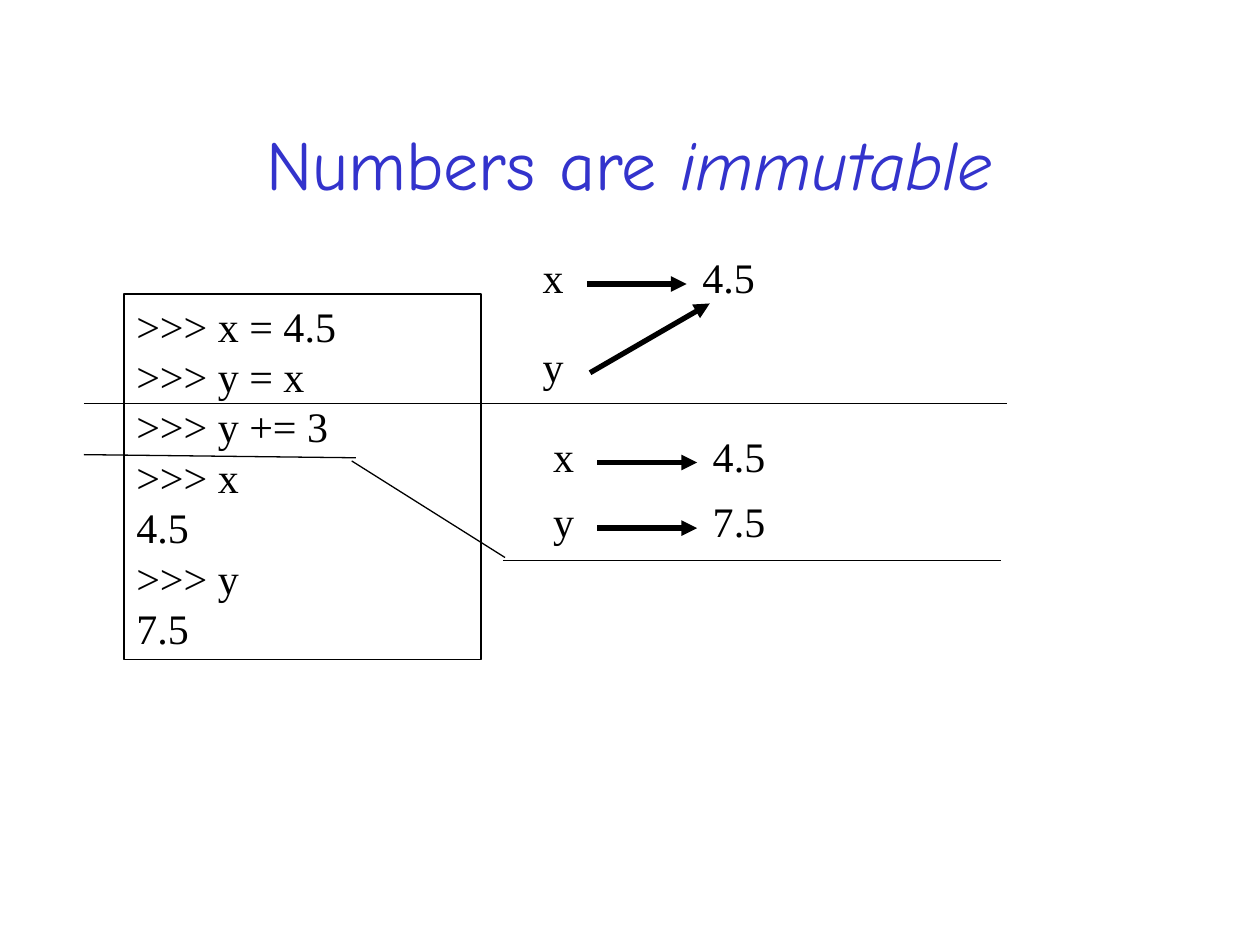
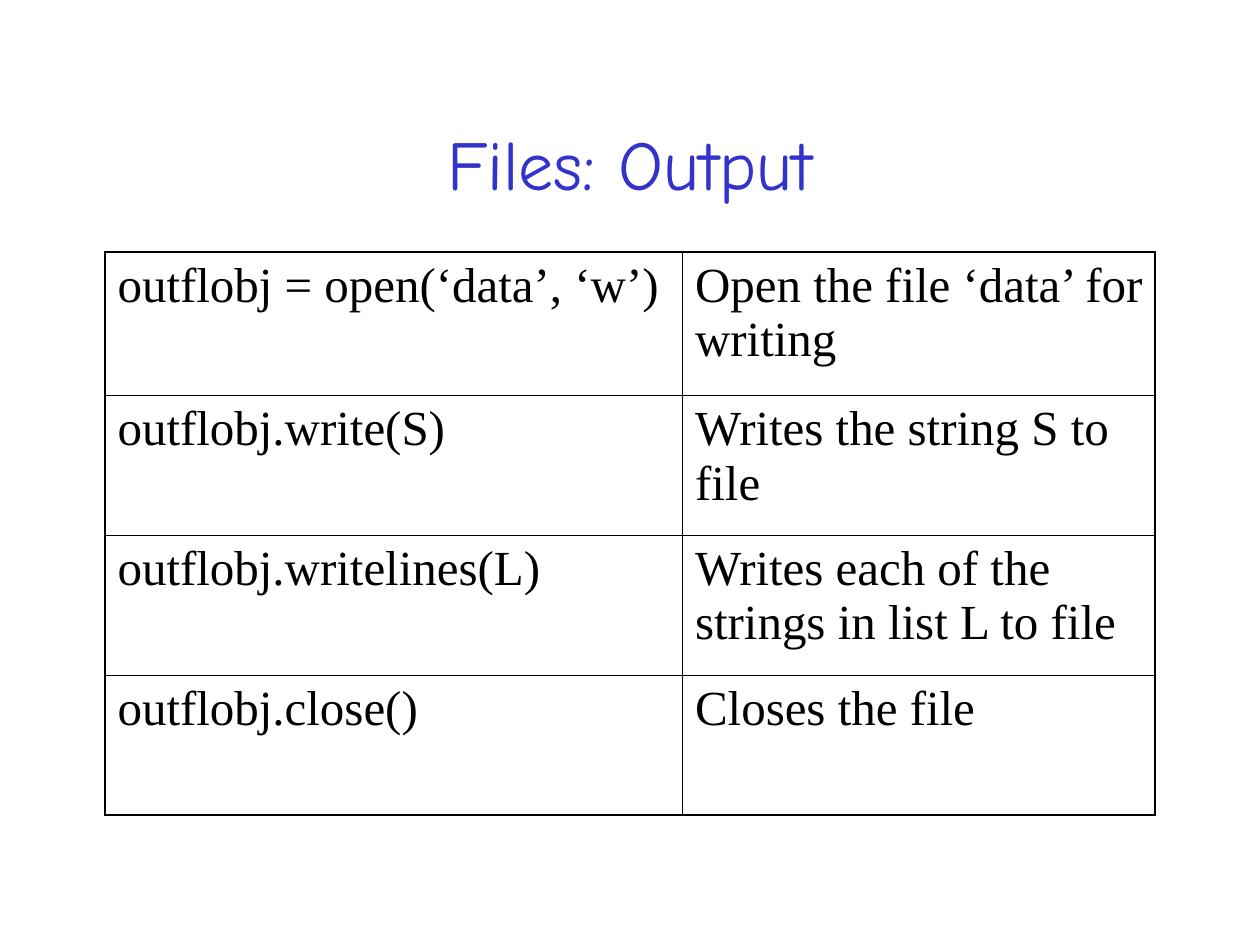
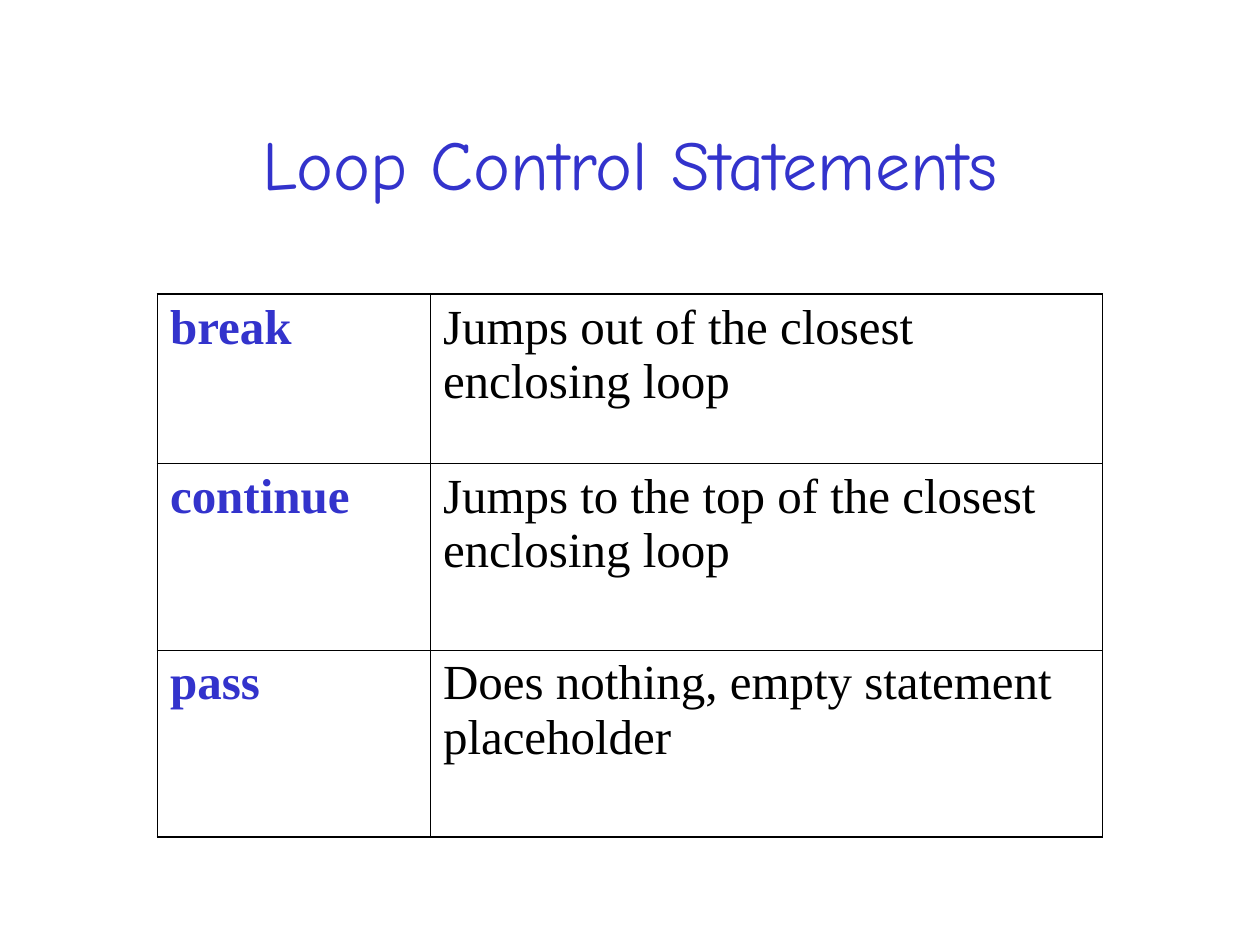
from dataclasses import dataclass

from lxml import etree
from pptx import Presentation
from pptx import util as u
from pptx.dml.color import RGBColor
from pptx.enum import shapes, text
from pptx.oxml.ns import qn


@dataclass(frozen=True)
class Theme:
    ink: str = "000000"
    accent: str = "3333CC"
    title_font: str = "Comic Neue"
    body_font: str = "Times New Roman"
    title_size: int = 40
    table_size: int = 28
    code_size: int = 24
    thin: float = 0.75
    thick: float = 3
    outer_border: float = 1.08
    inner_border: float = 0.45


THEME = Theme()
COLUMNS, ROWS = 120, 90
WIDTH, HEIGHT = u.Inches(10), u.Inches(7.5)


def col(n):
    return u.Emu(round(WIDTH * n / COLUMNS))


def row(n):
    return u.Emu(round(HEIGHT * n / ROWS))


def box(left, top, width, height):
    return col(left), row(top), col(width), row(height)


def add_run(p, words, size, font=THEME.body_font, color=THEME.ink, bold=False, italic=False):
    r = p.add_run()
    r.text = words
    r.font.name, r.font.size = font, u.Pt(size)
    r.font.bold, r.font.italic = bold, italic
    r.font.color.rgb = RGBColor.from_string(color)


def add_title_slide(prs, *runs):
    """Add a title-only slide; each run is (words, italic)."""
    s = prs.slides.add_slide(prs.slide_layouts[5])
    title = s.shapes.title
    title.left, title.top, title.width, title.height = box(9, 8, 102, 15)
    tf = title.text_frame
    tf.auto_size = text.MSO_AUTO_SIZE.NONE
    tf.vertical_anchor = text.MSO_ANCHOR.MIDDLE
    p = tf.paragraphs[0]
    p.alignment = text.PP_ALIGN.CENTER
    for words, italic in runs:
        add_run(p, words, THEME.title_size, THEME.title_font, THEME.accent, italic=italic)
    return s


def fill_code(tf, lines, space_before=0):
    tf.word_wrap = True
    tf.auto_size = text.MSO_AUTO_SIZE.SHAPE_TO_FIT_TEXT
    tf.vertical_anchor = text.MSO_ANCHOR.TOP
    for i, line in enumerate(lines):
        p = tf.add_paragraph() if i else tf.paragraphs[0]
        p.alignment = text.PP_ALIGN.LEFT
        p.space_before = u.Pt(space_before)
        add_run(p, line, THEME.code_size)


def add_code_box(s, place, lines):
    sp = s.shapes.add_shape(shapes.MSO_SHAPE.RECTANGLE, *box(*place))
    sp.shadow.inherit = False
    sp.fill.background()
    sp.line.color.rgb = RGBColor.from_string(THEME.ink)
    sp.line.width = u.Pt(THEME.thin)
    fill_code(sp.text_frame, lines)


def add_label(s, left, top, width, words):
    sp = s.shapes.add_textbox(*box(left, top, width, 6))
    fill_code(sp.text_frame, [words], space_before=15)


def add_line(s, start, end, weight=THEME.thin, arrow=False):
    (x1, y1), (x2, y2) = start, end
    line = s.shapes.add_connector(shapes.MSO_CONNECTOR.STRAIGHT, col(x1), row(y1), col(x2), row(y2))
    line.line.color.rgb = RGBColor.from_string(THEME.ink)
    line.line.width = u.Pt(weight)
    if arrow:
        ln = line._element.spPr.find(qn("a:ln"))
        etree.SubElement(ln, qn("a:tailEnd"), type="triangle")
    etree.SubElement(line._element.spPr, qn("a:effectLst"))


def add_arrow(s, start, end):
    add_line(s, start, end, THEME.thick, arrow=True)


def add_binding(s, left, top, name, value):
    """Draw a variable name with an arrow to its value."""
    add_label(s, left, top, 5.6, name)
    add_label(s, left + 15.2, top, 8.5, value)
    add_arrow(s, (left + 5.4, top + 3.65), (left + 14.9, top + 3.65))


def set_border(cell, side, weight):
    ln = etree.SubElement(cell._tc.get_or_add_tcPr(), qn("a:ln" + side), w=str(u.Pt(weight)))
    fill = etree.SubElement(ln, qn("a:solidFill"))
    etree.SubElement(fill, qn("a:srgbClr"), val=THEME.ink)


def add_grid_table(s, left, top, widths, heights, entries, key_style=None):
    """Add a ruled table; key_style holds run options for its first column."""
    frame = s.shapes.add_table(len(heights), len(widths), *box(left, top, sum(widths), sum(heights)))
    table = frame.table
    table.first_row = table.horz_banding = False
    for column, width in zip(table.columns, widths):
        column.width = col(width)
    for i, (height, entry) in enumerate(zip(heights, entries)):
        table.rows[i].height = row(height)
        for j, words in enumerate(entry):
            cell = table.cell(i, j)
            cell.margin_right = u.Inches(0.09)
            outer = {"L": j == 0, "R": j == len(widths) - 1,
                     "T": i == 0, "B": i == len(heights) - 1}
            for side, on_edge in outer.items():
                set_border(cell, side, THEME.outer_border if on_edge else THEME.inner_border)
            cell.fill.background()
            p = cell.text_frame.paragraphs[0]
            p.space_before = u.Pt(7)
            style = key_style if key_style and j == 0 else {}
            add_run(p, words, THEME.table_size, **style)


def add_numbers_slide(prs):
    s = add_title_slide(prs, ("Numbers are ", False), ("immutable", True))
    add_code_box(s, (11.8, 28, 34, 34.8),
                 [">>> x = 4.5", ">>> y = x", ">>> y += 3", ">>> x", "4.5", ">>> y", "7.5"])

    add_binding(s, 50.5, 23.4, "x", "4.5")
    add_label(s, 50.5, 31.8, 5.6, "y")
    add_arrow(s, (56.2, 35.5), (67.6, 28.9))
    add_line(s, (8, 38.4), (95.9, 38.4))

    add_binding(s, 51.5, 40.4, "x", "4.5")
    add_binding(s, 51.5, 46.65, "y", "7.5")
    add_line(s, (47.9, 53.4), (95.3, 53.4))
    add_line(s, (33.5, 43.9), (48.1, 53.1))
    add_line(s, (8, 43.3), (33.9, 43.6))


def add_files_slide(prs):
    s = add_title_slide(prs, ("Files: Output", False))
    add_grid_table(s, 10, 24, (55, 45), (13.7, 13.3, 13.3, 13.3), [
        ("outflobj = open(‘data’, ‘w’)", "Open the file ‘data’ for writing"),
        ("outflobj.write(S)", "Writes the string S to file"),
        ("outflobj.writelines(L)", "Writes each of the strings in list L to file"),
        ("outflobj.close()", "Closes the file"),
    ])


def add_loops_slide(prs):
    s = add_title_slide(prs, ("Loop Control Statements", False))
    add_grid_table(s, 15, 28, (26, 64), (16.1, 17.8, 17.8), [
        ("break", "Jumps out of the closest enclosing loop"),
        ("continue", "Jumps to the top of the closest enclosing loop"),
        ("pass", "Does nothing, empty statement placeholder"),
    ], key_style={"color": THEME.accent, "bold": True})


def main():
    prs = Presentation()
    prs.slide_width, prs.slide_height = WIDTH, HEIGHT
    add_numbers_slide(prs)
    add_files_slide(prs)
    add_loops_slide(prs)
    prs.save("out.pptx")


if __name__ == "__main__":
    main()
